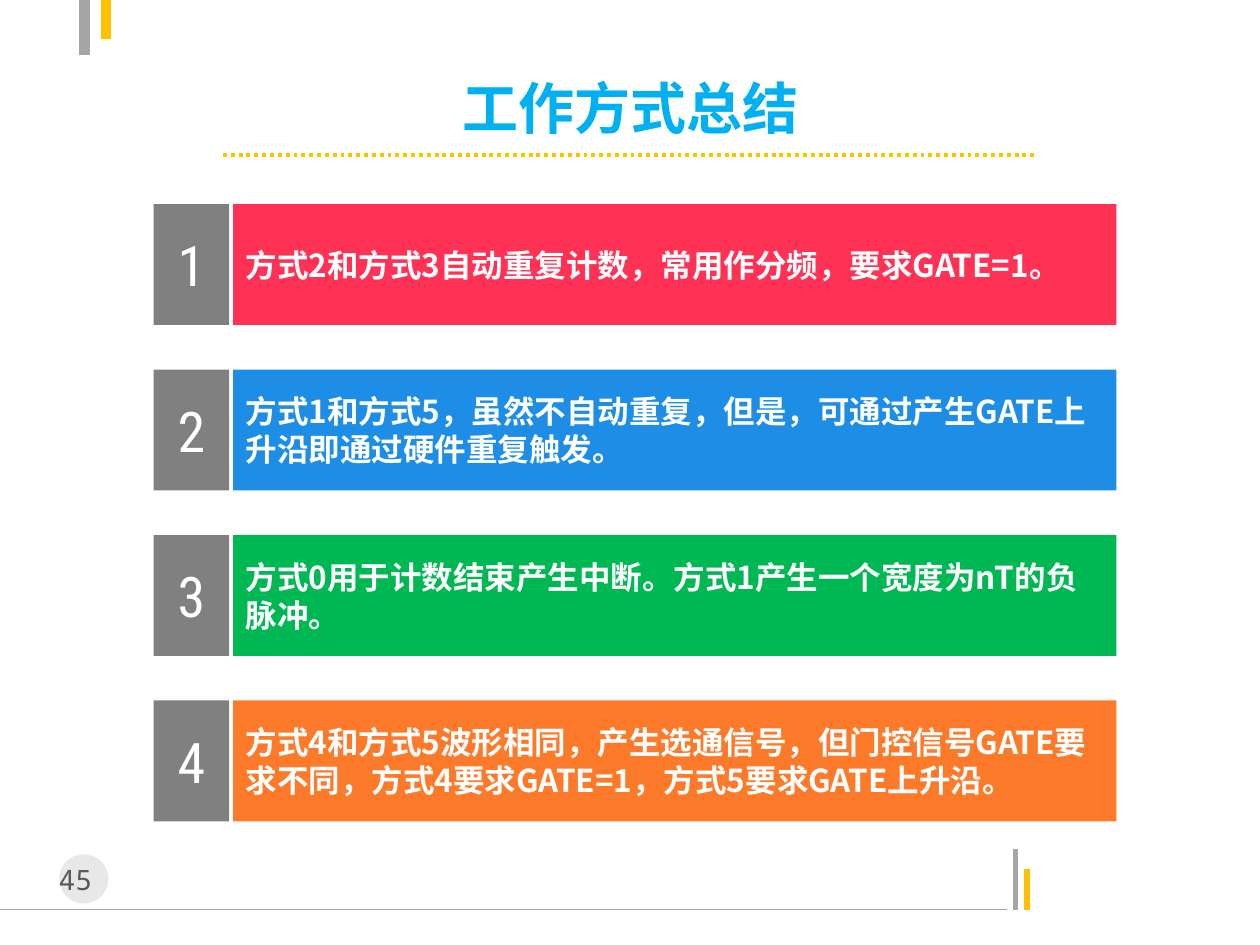
from dataclasses import dataclass

from lxml import etree
from pptx import Presentation
from pptx.dml.color import RGBColor
from pptx.enum import dml, shapes, text
from pptx.oxml import ns
from pptx.util import Inches, Pt


@dataclass(frozen=True)
class Theme:
    title: str = "00B0F0"
    accent: str = "FFC000"
    grey: str = "A6A6A6"
    badge: str = "BFBFBF"
    page_number: str = "595959"
    number_fill: str = "808080"
    white: str = "FFFFFF"
    heading_size: int = 32
    body_size: int = 18
    page_size: int = 16
    body_font: str = "Noto Sans CJK SC"
    number_font: str = "Roboto Condensed"
    page_font: str = "Noto Sans Mono"


THEME = Theme()

SUMMARY = [
    ("FF3255", "方式2和方式3自动重复计数，常用作分频，要求GATE=1。"),
    ("1D8DE5", "方式1和方式5，虽然不自动重复，但是，可通过产生GATE上升沿即通过硬件重复触发。"),
    ("00B853", "方式0用于计数结束产生中断。方式1产生一个宽度为nT的负脉冲。"),
    ("FD7A2A", "方式4和方式5波形相同，产生选通信号，但门控信号GATE要求不同，"
               "方式4要求GATE=1，方式5要求GATE上升沿。"),
]


def inches(*lengths):
    return [Inches(length) for length in lengths]


def write_text(shape, content, font, size, color, bold=False, align=text.PP_ALIGN.CENTER):
    frame = shape.text_frame
    frame_format = {"word_wrap": True, "auto_size": text.MSO_AUTO_SIZE.NONE,
                    "vertical_anchor": text.MSO_ANCHOR.MIDDLE}
    for name, value in frame_format.items():
        setattr(frame, name, value)
    paragraph = frame.paragraphs[0]
    paragraph.alignment = align
    run = paragraph.add_run()
    run.text = content
    run.font.color.rgb = RGBColor.from_string(color)
    for name, value in {"name": font, "size": Pt(size), "bold": bold}.items():
        setattr(run.font, name, value)
    properties = run.font._element
    etree.SubElement(properties, ns.qn("a:ea")).set("typeface", font)


def add_filled(slide, kind, box, color):
    shape = slide.shapes.add_shape(kind, *inches(*box))
    shape.shadow.inherit = False
    shape.fill.solid()
    shape.fill.fore_color.rgb = RGBColor.from_string(color)
    shape.line.fill.background()
    return shape


def add_line(slide, start, end, color, width, dash=None):
    line = slide.shapes.add_connector(shapes.MSO_CONNECTOR.STRAIGHT, *inches(*start, *end))
    line.line.color.rgb = RGBColor.from_string(color)
    line.line.width = Pt(width)
    if dash:
        line.line.dash_style = dash
    etree.SubElement(line._element.spPr, ns.qn("a:effectLst"))


def add_frame_lines(slide, baseline):
    """Draw the bars at the top left and the footer rule with its bars."""
    add_line(slide, (0, baseline), (7.99, baseline), THEME.grey, 0.75)
    add_line(slide, (8.06, baseline), (8.06, 6.74), THEME.grey, 3)
    add_line(slide, (8.15, baseline), (8.15, 6.9), THEME.accent, 3)
    add_line(slide, (0.67, 0.44), (0.67, -0.03), THEME.grey, 6)
    add_line(slide, (0.84, 0), (0.84, 0.31), THEME.accent, 6)


def add_page_number(slide, box, number):
    left, top, width, height = box
    badge = add_filled(slide, shapes.MSO_SHAPE.OVAL, box, THEME.badge)
    color = badge._element.spPr.find(ns.qn("a:solidFill"))[0]
    etree.SubElement(color, ns.qn("a:alpha")).set("val", "35000")
    label = slide.shapes.add_textbox(*inches(left - 0.16, top + 0.01, width + 0.32, 0.37))
    write_text(label, f"{number} ", THEME.page_font, THEME.page_size, THEME.page_number)


def add_title(slide, box, content):
    left, top, width, height = box
    title = slide.shapes.title
    for name, value in zip(("left", "top", "width", "height"), inches(*box)):
        setattr(title, name, value)
    write_text(title, content, THEME.body_font, THEME.heading_size, THEME.title, bold=True)
    title.text_frame.word_wrap = False
    rule_top = top + height + 0.13
    add_line(slide, (left + 0.39, rule_top), (left + width - 0.4, rule_top),
             THEME.accent, 2.25, dml.MSO_LINE.ROUND_DOT)


def add_summary_row(slide, box, number, color, content):
    left, top, width, height = box
    number_width, gap = 0.6, 0.03
    offset = number_width + gap
    rectangle = shapes.MSO_SHAPE.RECTANGLE
    label = add_filled(slide, rectangle, (left, top, number_width, height), THEME.number_fill)
    write_text(label, str(number), THEME.number_font, THEME.heading_size, THEME.white)
    bar = add_filled(slide, rectangle, (left + offset, top, width - offset, height), color)
    write_text(bar, content, THEME.body_font, THEME.body_size, THEME.white,
               bold=True, align=text.PP_ALIGN.LEFT)


def add_summary(slide, box, rows):
    left, top, width, height = box
    row_height = 0.96
    pitch = (height - row_height) / (len(rows) - 1)
    for index, (color, content) in enumerate(rows):
        row_box = (left, top + index * pitch, width, row_height)
        add_summary_row(slide, row_box, index + 1, color, content)


def main():
    presentation = Presentation()
    presentation.slide_width, presentation.slide_height = inches(10, 7.5)
    slide = presentation.slides.add_slide(presentation.slide_layouts[5])
    add_frame_lines(slide, 7.22)
    add_page_number(slide, (0.47, 6.78, 0.39, 0.39), 45)
    add_title(slide, (1.38, 0.6, 7.25, 0.5), "工作方式总结")
    add_summary(slide, (1.22, 1.62, 7.64, 4.9), SUMMARY)
    presentation.save("out.pptx")


if __name__ == "__main__":
    main()
